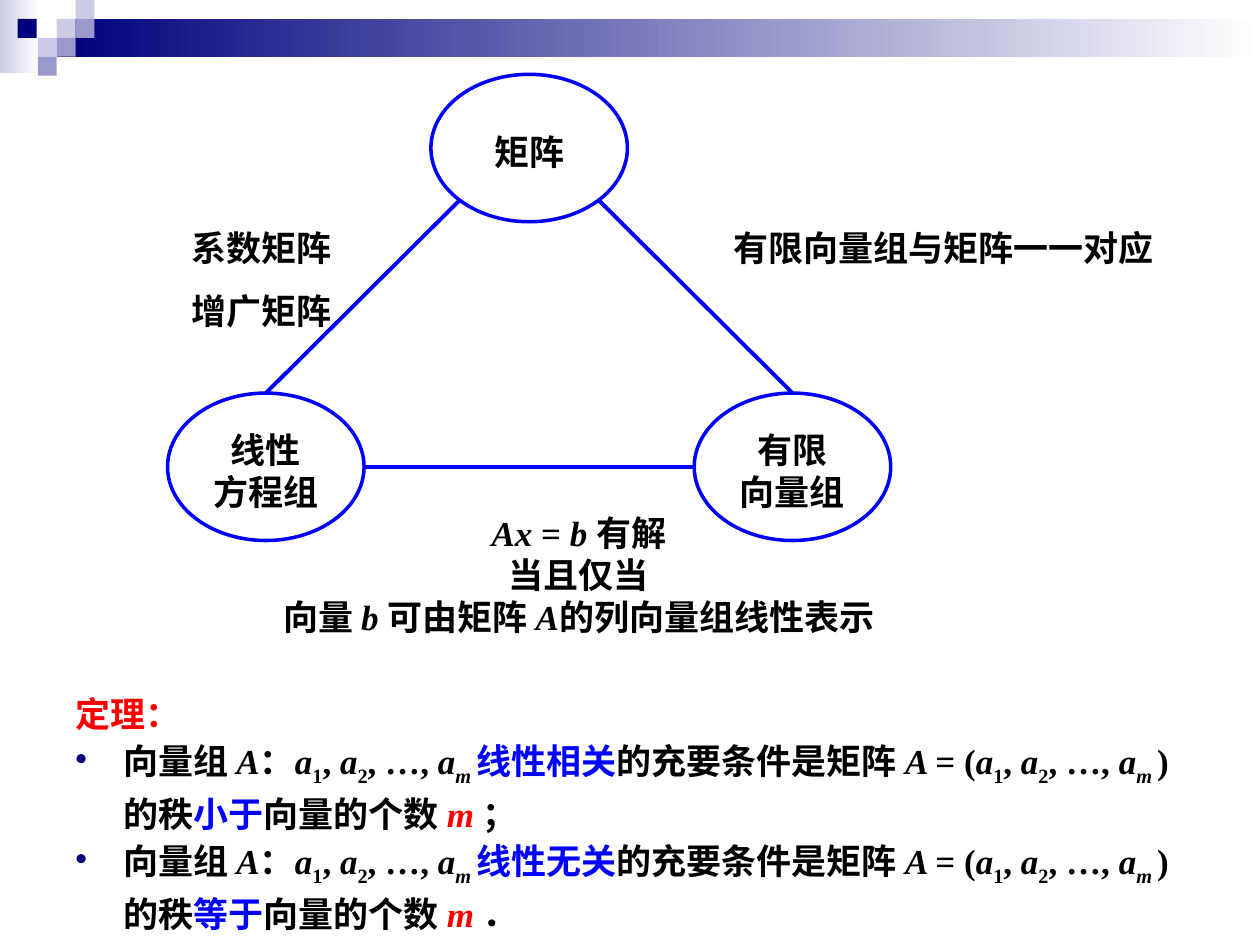
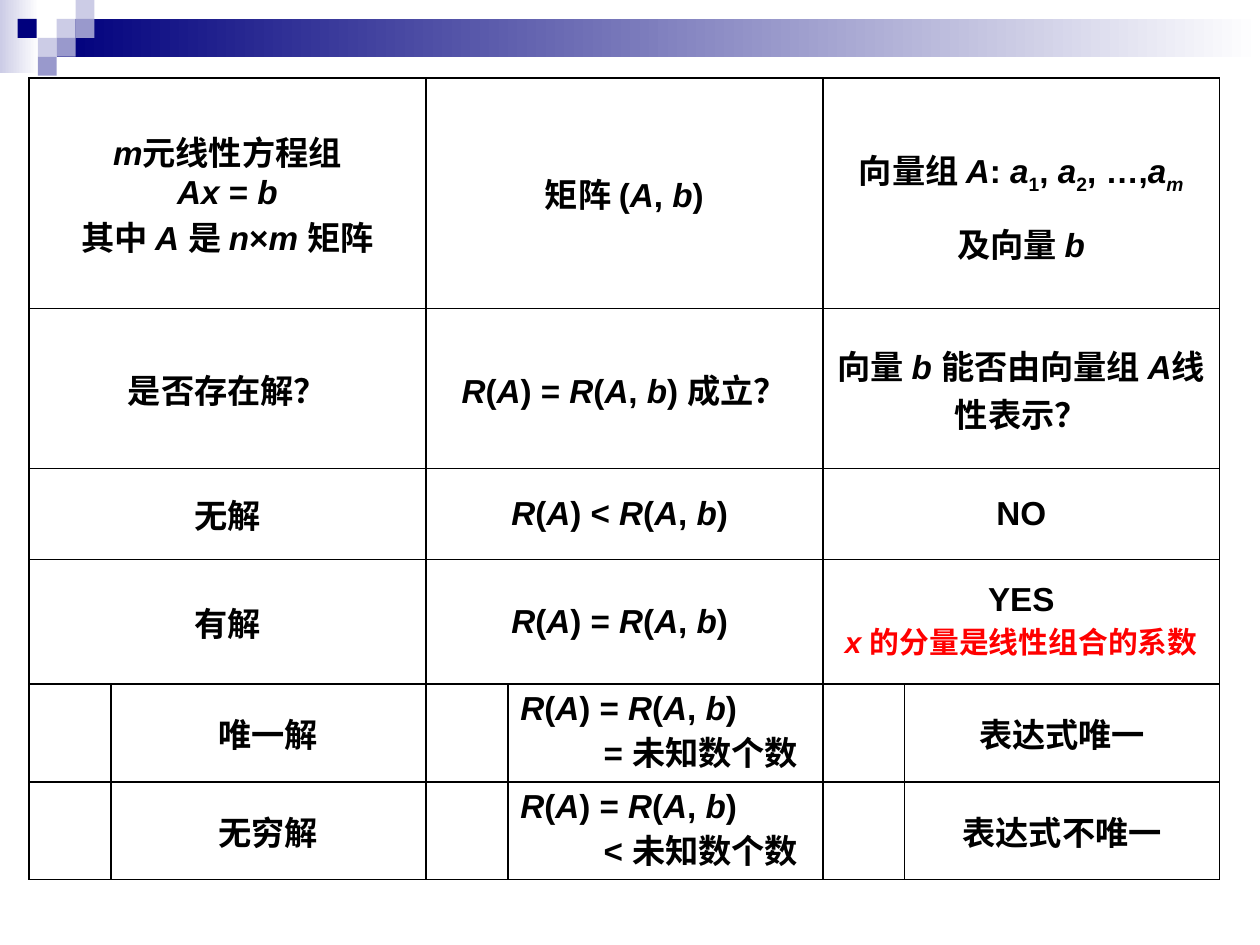
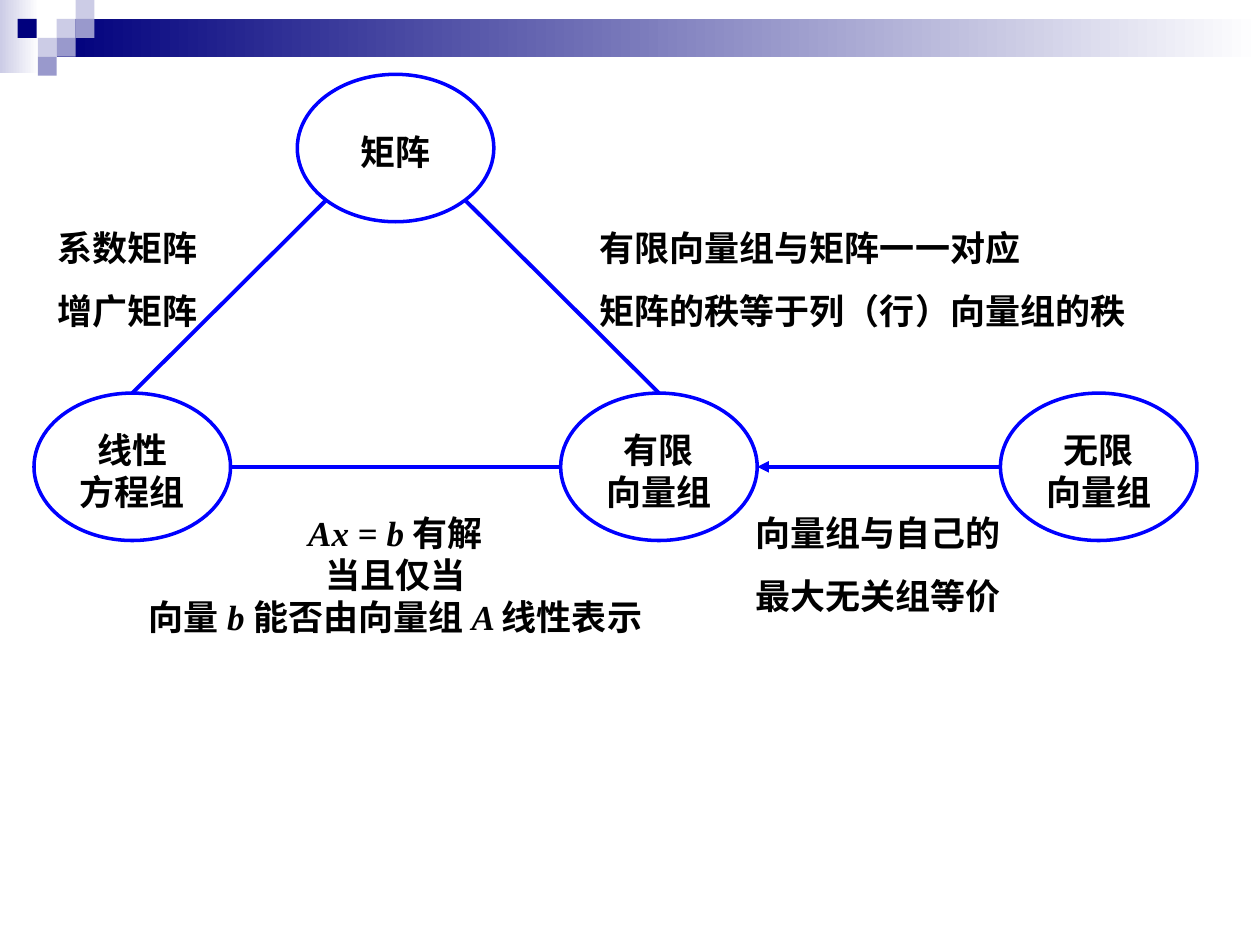
from itertools import groupby
from math import sqrt

from lxml import etree
from pptx import Presentation
from pptx.dml.color import RGBColor
from pptx.enum.shapes import MSO_CONNECTOR, MSO_SHAPE
from pptx.enum.text import MSO_ANCHOR, PP_ALIGN
from pptx.oxml.ns import qn
from pptx.util import Inches, Pt

RECT, OVAL = MSO_SHAPE.RECTANGLE, MSO_SHAPE.OVAL
STRAIGHT = MSO_CONNECTOR.STRAIGHT
MIDDLE, TOP = MSO_ANCHOR.MIDDLE, MSO_ANCHOR.TOP
CENTER, LEFT = PP_ALIGN.CENTER, PP_ALIGN.LEFT

BLACK = RGBColor(0x00, 0x00, 0x00)
WHITE = RGBColor(0xFF, 0xFF, 0xFF)
RED = RGBColor(0xFF, 0x00, 0x00)
BLUE = RGBColor(0x00, 0x00, 0xFF)
NAVY = RGBColor(0x00, 0x00, 0x7D)
LILAC = RGBColor(0x99, 0x99, 0xCC)
PALE = RGBColor(0xCC, 0xCC, 0xE6)

CJK_FONT = "Noto Sans CJK SC"
SERIF = {"name": "Times New Roman", "size": Pt(20), "bold": True}
LABEL = {**SERIF, "name": CJK_FONT}
TABLE = {"name": "Arial", "size": Pt(19), "bold": True}
SINGLE, LOOSE = Pt(24), Pt(36)

NODE_W, NODE_H = 1.56, 1.17
TOP_Y, LOW_Y = 0.59, 3.12
NODE_STEP = 2.09
LABEL_Y, NOTE_Y = 1.72, 3.98

COLOR_MARKS = {"~": BLUE, "^": RED}


def parse_runs(text):
    """Yield (text, italic, subscript, colour): *italic*, _subscript, ~blue~, ^red^."""
    chars, italic, sub, color = [], False, False, BLACK
    for ch in text:
        if ch == "*":
            italic = not italic
        elif ch == "_":
            sub = True
        elif ch in COLOR_MARKS:
            color = BLACK if color == COLOR_MARKS[ch] else COLOR_MARKS[ch]
        else:
            chars.append((ch, (italic, sub, color)))
            sub = False
    for look, group in groupby(chars, key=lambda item: item[1]):
        yield ("".join(ch for ch, _ in group), *look)


def add_runs(p, text, font):
    for part, italic, sub, color in parse_runs(text):
        r = p.add_run()
        r.text = part
        for name, value in {**font, "italic": italic}.items():
            setattr(r.font, name, value)
        r.font.color.rgb = color
        rPr = r.font._element
        etree.SubElement(rPr, qn("a:ea")).set("typeface", CJK_FONT)
        if sub:
            rPr.set("baseline", "-25000")


def write(tf, lines, font, **common):
    """Fill tf; a line is marked text, or a pair of marked text and its own formats."""
    for i, line in enumerate(lines):
        text, own = (line, {}) if isinstance(line, str) else line
        formats = {**common, **own}
        size = formats.pop("size", font["size"])
        p = tf.paragraphs[0] if i == 0 else tf.add_paragraph()
        for name, value in formats.items():
            setattr(p, name, value)
        add_runs(p, text, {**font, "size": size})


def set_indent(p, left, first=0):
    pPr = p._p.get_or_add_pPr()
    pPr.set("marL", str(Inches(left)))
    pPr.set("indent", str(Inches(first)))
    return pPr


def set_bullet(p):
    pPr = p._p.get_or_add_pPr()
    color = etree.SubElement(pPr, qn("a:buClr"))
    etree.SubElement(color, qn("a:srgbClr")).set("val", str(NAVY))
    etree.SubElement(pPr, qn("a:buChar")).set("char", "•")


def set_frame(tf, wrap, anchor):
    formats = {"word_wrap": wrap, "vertical_anchor": anchor,
               "margin_top": Inches(0.08), "margin_bottom": Inches(0.02)}
    for name, value in formats.items():
        setattr(tf, name, value)


def add_block(slide, x, y, w, h, color, fade=False):
    sp = slide.shapes.add_shape(RECT, Inches(x), Inches(y), Inches(w), Inches(h))
    sp.shadow.inherit = False
    sp.line.fill.background()
    if fade:
        sp.fill.gradient()
        sp.fill.gradient_angle = 0
        for stop, tone in zip(sp.fill.gradient_stops, (color, WHITE)):
            stop.color.rgb = tone
    else:
        sp.fill.solid()
        sp.fill.fore_color.rgb = color


def add_header(slide):
    add_block(slide, 0, 0, 0.31, 0.58, PALE, fade=True)
    add_block(slide, 0.45, 0.15, 9.55, 0.3, NAVY, fade=True)
    squares = [(0.45, 0.15, PALE), (0.6, 0, PALE), (0.6, 0.15, LILAC),
               (0.3, 0.3, PALE), (0.14, 0.15, NAVY), (0.45, 0.3, LILAC),
               (0.3, 0.45, LILAC)]
    for x, y, color in squares:
        add_block(slide, x, y, 0.15, 0.15, color)


def new_slide(prs):
    slide = prs.slides.add_slide(prs.slide_layouts[6])
    add_header(slide)
    return slide


def add_node(slide, x, y, *lines):
    sp = slide.shapes.add_shape(OVAL, Inches(x), Inches(y), Inches(NODE_W), Inches(NODE_H))
    sp.shadow.inherit = False
    sp.fill.background()
    sp.line.color.rgb = BLUE
    sp.line.width = Pt(2)
    set_frame(sp.text_frame, True, MIDDLE)
    write(sp.text_frame, lines, SERIF, alignment=CENTER, line_spacing=SINGLE)


def add_link(slide, start, end, arrow=False):
    cx = slide.shapes.add_connector(STRAIGHT, *map(Inches, (*start, *end)))
    cx.line.color.rgb = BLUE
    cx.line.width = Pt(2.25)
    if arrow:
        etree.SubElement(cx.line._get_or_add_ln(), qn("a:tailEnd")).set("type", "triangle")
    etree.SubElement(cx._element.spPr, qn("a:effectLst"))


def add_text(slide, x, y, w, h, lines, font=SERIF, wrap=False, align=LEFT):
    tb = slide.shapes.add_textbox(Inches(x), Inches(y), Inches(w), Inches(h))
    set_frame(tb.text_frame, wrap, TOP)
    write(tb.text_frame, lines, font, alignment=align, line_spacing=SINGLE)
    return tb.text_frame


def loose(text):
    return text, {"line_spacing": LOOSE}


def add_triangle(slide, x, right_label, right_w):
    """Draw the three linked nodes with the matrix node at x, and the side labels."""
    left_x, right_x = x - NODE_STEP, x + NODE_STEP
    add_node(slide, x, TOP_Y, "矩阵")
    add_node(slide, left_x, LOW_Y, "线性", "方程组")
    add_node(slide, right_x, LOW_Y, "有限", "向量组")

    center = x + NODE_W / 2
    dx, dy = NODE_W / 2 / sqrt(2), NODE_H / 2 / sqrt(2)
    for side in (-1, 1):
        add_link(slide, (center + side * dx, TOP_Y + NODE_H / 2 + dy),
                 (center + side * NODE_STEP, LOW_Y))
    mid_y = LOW_Y + NODE_H / 2
    add_link(slide, (left_x + NODE_W, mid_y), (right_x, mid_y))

    add_text(slide, x - 2, LABEL_Y, 1.32, 0.88, ["系数矩阵", loose("增广矩阵")], LABEL)
    add_text(slide, x + 2.3, LABEL_Y, right_w, 0.94, right_label, LABEL)


def add_solvability(slide, x, w, condition):
    add_text(slide, x, NOTE_Y, w, 1.11, ["*Ax* = *b* 有解", "当且仅当", condition],
             wrap=True, align=CENTER)


def add_theorem(slide):
    cases = [("相关", "小于", "；"), ("无关", "等于", "．")]
    vectors = "*a*_1, *a*_2, …, *a_m_ *"
    bullet = {"line_spacing": Pt(27), "space_before": Pt(3)}
    lines = ["^定理：^"]
    for kind, relation, stop in cases:
        lines.append((f"向量组 *A*：{vectors}~线性{kind}~的充要条件是矩阵 *A *= ({vectors}) 的秩"
                      f"~{relation}~向量的个数 ^*m *^{stop}", bullet))
    tf = add_text(slide, 0.5, 5.42, 9, 1.9, lines, wrap=True)
    for i, p in enumerate(tf.paragraphs):
        set_indent(p, 0.38, -0.38)
        if i > 0:
            set_bullet(p)


def style_cell(cell):
    tcPr = cell._tc.get_or_add_tcPr()
    for edge in "LRTB":
        ln = etree.SubElement(tcPr, qn(f"a:ln{edge}"), w=str(Pt(1)))
        fill = etree.SubElement(ln, qn("a:solidFill"))
        etree.SubElement(fill, qn("a:srgbClr")).set("val", str(BLACK))
    cell.fill.background()
    cell.vertical_anchor = MIDDLE


def add_comparison(slide):
    widths = [0.65, 2.5] * 3
    heights = [1.83, 1.27, 0.72, 0.99, 0.73, 0.73]
    rank_a, rank_ab = "*R*(*A*)", "*R*(*A*, *b*)"
    wide = {"line_spacing": 1.5}
    rows = [
        (["*m*元线性方程组", "*Ax* = *b*", "其中 *A* 是 *n*×*m *矩阵"],
         ["矩阵 (*A*, *b*)"],
         [("向量组 *A*: *a*_1, *a*_2, …,*a_m*", wide), ("及向量 *b*", wide)]),
        (["是否存在解？"], [f"{rank_a} = {rank_ab} 成立？"],
         ["向量 *b *能否由向量组 *A*线性表示？"]),
        (["无解"], [f"{rank_a} < {rank_ab} "], ["NO"]),
        (["有解"], [f"{rank_a} = {rank_ab} "],
         ["YES", ("^*x* 的分量是线性组合的系数^", {"size": Pt(17)})]),
        (["唯一解"], [f"{rank_a} = {rank_ab}", "= 未知数个数"], ["表达式唯一"]),
        (["无穷解"], [f"{rank_a} = {rank_ab}", "< 未知数个数"], ["表达式不唯一"]),
    ]
    frame = slide.shapes.add_table(len(heights), len(widths), Inches(0.23), Inches(0.62),
                                   Inches(sum(widths)), Inches(sum(heights)))
    table = frame.table
    table.first_row = table.horz_banding = False
    for col, w in zip(table.columns, widths):
        col.width = Inches(w)
    for row, h in zip(table.rows, heights):
        row.height = Inches(h)
    for cell in table.iter_cells():
        style_cell(cell)

    for r, row in enumerate(rows):
        is_subcase = r >= 4
        for c, lines in enumerate(row):
            cell = table.cell(r, 2 * c + is_subcase)
            if not is_subcase:
                cell.merge(table.cell(r, 2 * c + 1))
            is_rank = is_subcase and c == 1
            write(cell.text_frame, lines, TABLE, alignment=LEFT if is_rank else CENTER)
            if is_rank:
                set_indent(cell.text_frame.paragraphs[1], 0.66)


def add_infinite_group(slide, finite_x):
    x, y = 7.94, LOW_Y + NODE_H / 2
    add_node(slide, x, LOW_Y, "无限", "向量组")
    add_link(slide, (x, y), (finite_x + NODE_W, y), arrow=True)
    add_text(slide, 5.89, NOTE_Y, 2.16, 0.94, ["向量组与自己的", loose("最大无关组等价")],
             align=CENTER)


def main():
    prs = Presentation()
    prs.slide_width, prs.slide_height = Inches(10), Inches(7.5)
    matching = "有限向量组与矩阵一一对应"

    slide = new_slide(prs)
    add_triangle(slide, 3.42, [matching], 3.57)
    add_solvability(slide, 2.12, 4.95, "向量 *b *可由矩阵 *A*的列向量组线性表示")
    add_theorem(slide)

    add_comparison(new_slide(prs))

    slide = new_slide(prs)
    matrix_x = 2.36
    add_triangle(slide, matrix_x, [matching, loose("矩阵的秩等于列（行）向量组的秩")], 4.41)
    add_solvability(slide, 1.06, 4.16, "向量 *b *能否由向量组 *A *线性表示")
    add_infinite_group(slide, matrix_x + NODE_STEP)

    prs.save("out.pptx")


if __name__ == "__main__":
    main()
